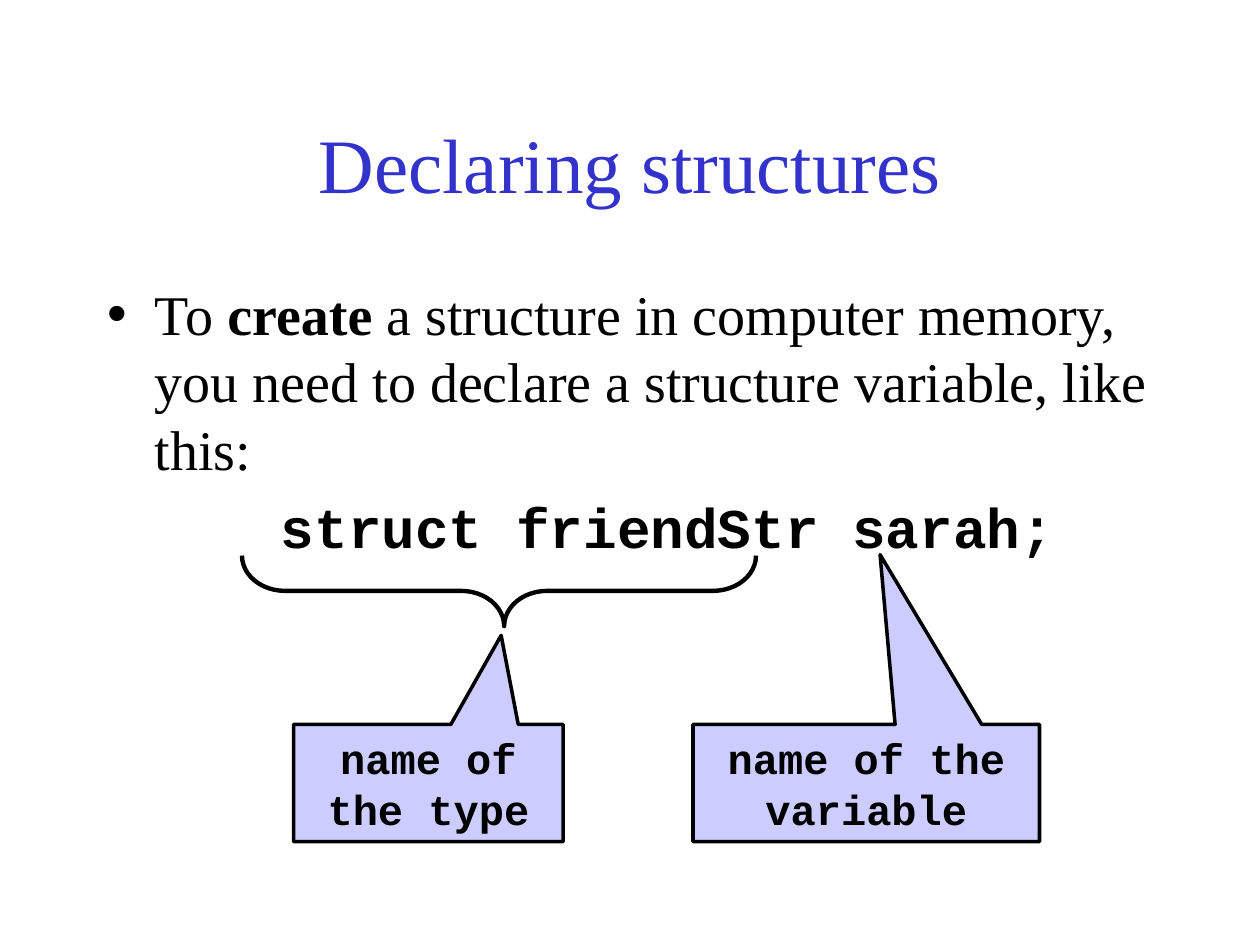
import pptx
import pptx.util
import pptx.dml.color
import pptx.enum.shapes
import pptx.enum.text
import pptx.oxml.xmlchemy

SERIF = "Times New Roman"
MONO = "Courier New"
SHAPES = pptx.enum.shapes.MSO_SHAPE
ALIGN = pptx.enum.text.PP_ALIGN
ANCHOR = pptx.enum.text.MSO_ANCHOR
NO_FIT = pptx.enum.text.MSO_AUTO_SIZE.NONE
Inches = pptx.util.Inches


def color(value):
    return pptx.dml.color.RGBColor.from_string(value)


def style(span, size, face, bold=False, ink="000000"):
    span.font.size = pptx.util.Pt(size)
    span.font.name = face
    span.font.bold = bold
    span.font.color.rgb = color(ink)


def place(shape, box):
    shape.left, shape.top, shape.width, shape.height = map(Inches, box)


def outline(shape, width):
    shape.shadow.inherit = False
    shape.line.color.rgb = color("000000")
    shape.line.width = pptx.util.Pt(width)


def add_title(page, box, text):
    title = page.shapes.title
    place(title, box)
    frame = title.text_frame
    frame.text = text
    frame.auto_size = NO_FIT
    frame.vertical_anchor = ANCHOR.MIDDLE
    para = frame.paragraphs[0]
    para.alignment = ALIGN.CENTER
    style(para.runs[0], 44, SERIF, ink="3333CC")


def indent(para, margin, first):
    properties = para._p.get_or_add_pPr()
    properties.set("marL", str(Inches(margin)))
    properties.set("indent", str(Inches(first)))
    return properties


def add_body(page, box, parts, code):
    body = page.placeholders[1]
    place(body, box)
    frame = body.text_frame
    frame.auto_size = NO_FIT
    para = frame.paragraphs[0]
    for text, bold in parts:
        span = para.add_run()
        span.text = text
        style(span, 32, SERIF, bold)
    indent(para, 0.38, -0.38)
    line = frame.add_paragraph()
    line.text = code
    style(line.runs[0], 32, MONO, True)
    properties = indent(line, 1.38, 0)
    properties.append(pptx.oxml.xmlchemy.OxmlElement("a:buNone"))


def add_brace(page, box):
    brace = page.shapes.add_shape(SHAPES.RIGHT_BRACE, *map(Inches, box))
    brace.rotation = 90
    brace.adjustments[0] = 0.61
    brace.adjustments[1] = 0.49
    brace.fill.background()
    outline(brace, 2.5)


def add_callout(page, box, text, tip):
    callout = page.shapes.add_shape(SHAPES.RECTANGULAR_CALLOUT, *map(Inches, box))
    callout.adjustments[0], callout.adjustments[1] = tip
    callout.fill.solid()
    callout.fill.fore_color.rgb = color("CCCCFF")
    outline(callout, 2)
    frame = callout.text_frame
    frame.word_wrap = True
    frame.vertical_anchor = ANCHOR.MIDDLE
    frame.text = text
    para = frame.paragraphs[0]
    para.alignment = ALIGN.CENTER
    style(para.runs[0], 24, MONO, True)


deck = pptx.Presentation()
deck.slide_width, deck.slide_height = Inches(10), Inches(7.5)
page = deck.slides.add_slide(deck.slide_layouts[1])
add_title(page, (0.75, 0.67, 8.5, 1.25), "Declaring structures")
add_body(
    page,
    (0.75, 2.17, 8.5, 4.5),
    [
        ("To ", False),
        ("create", True),
        (" a structure in computer memory, you need to declare a structure variable, like this:", False),
    ],
    "struct friendStr sarah;",
)
add_brace(page, (3.68, 2.65, 0.56, 4.08))
for left, width, text, tip in (
    (2.33, 2.14, "name of the type", (0.27, -1.26)),
    (5.5, 2.75, "name of the variable", (0.04, -1.95)),
):
    add_callout(page, (left, 5.75, width, 0.93), text, tip)
deck.save("out.pptx")
